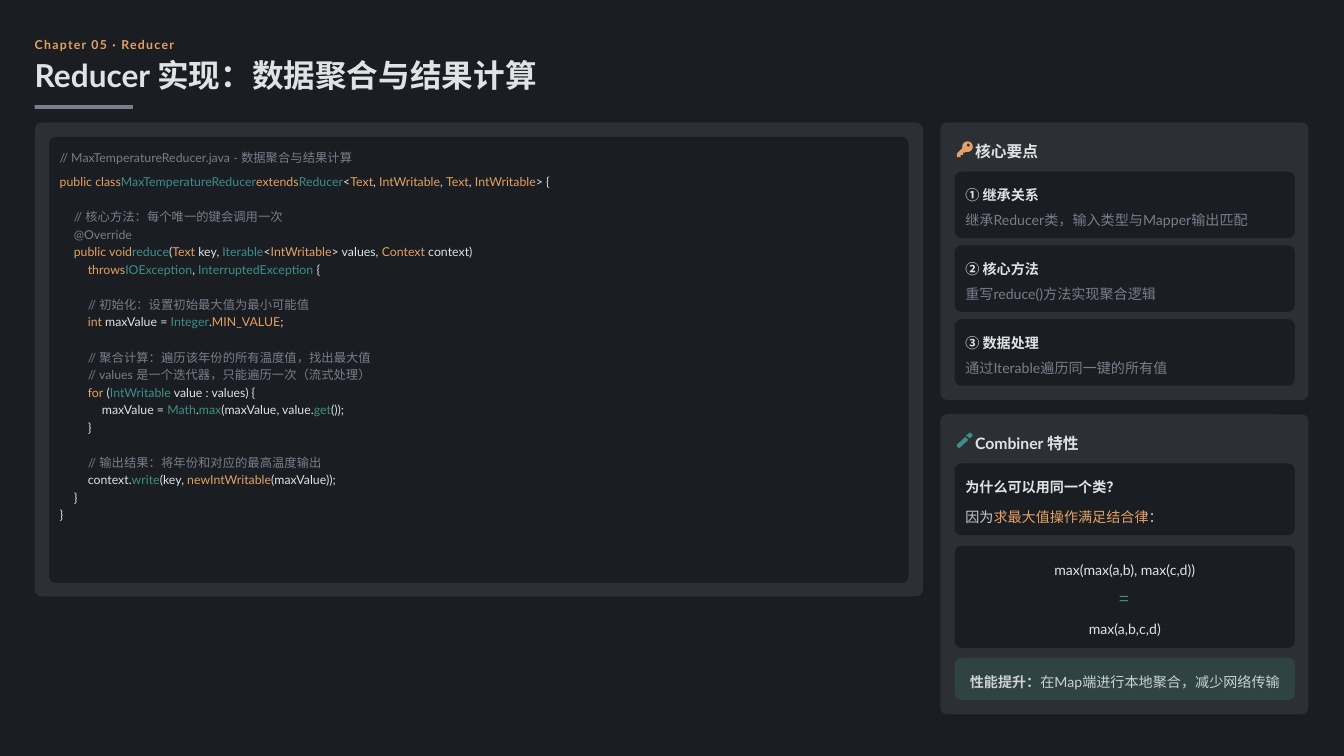
from math import cos, radians, sin

from lxml.etree import SubElement
from pptx import Presentation
from pptx.dml.color import RGBColor
from pptx.enum.shapes import MSO_SHAPE
from pptx.enum.text import MSO_ANCHOR, PP_ALIGN
from pptx.oxml.ns import qn
from pptx.util import Inches, Pt

DARK, PANEL = "1A1D21", "2C2F33"
PLAIN, NOTE, KEY, TYPE = "E0E2E5", "7A7D8D", "E5A165", "3D8F8A"
SOFT, TINT = PLAIN + "@90", TYPE + "@20"
LATIN, CJK = "Lato", "Noto Sans CJK SC"

# (row, indent level, (colour, text) pieces)
CODE = [
    (0, 0, [(KEY, "public class"), (TYPE, "MaxTemperatureReducer"), (KEY, "extends"),
            (TYPE, "Reducer"), (PLAIN, "<"), (KEY, "Text"), (PLAIN, ", "),
            (KEY, "IntWritable"), (PLAIN, ", "), (KEY, "Text"), (PLAIN, ", "),
            (KEY, "IntWritable"), (PLAIN, "> {")]),
    (2, 1, [(NOTE, "// 核心方法：每个唯一的键会调用一次")]),
    (3, 1, [(NOTE, "@Override")]),
    (4, 1, [(KEY, "public void"), (TYPE, "reduce"), (PLAIN, "("), (KEY, "Text"),
            (PLAIN, " key, "), (TYPE, "Iterable"), (PLAIN, "<"), (KEY, "IntWritable"),
            (PLAIN, "> values, "), (KEY, "Context"), (PLAIN, " context)")]),
    (5, 2, [(KEY, "throws"), (TYPE, "IOException"), (PLAIN, ", "),
            (TYPE, "InterruptedException"), (PLAIN, " {")]),
    (7, 2, [(NOTE, "// 初始化：设置初始最大值为最小可能值")]),
    (8, 2, [(KEY, "int"), (PLAIN, " maxValue = "), (TYPE, "Integer"), (PLAIN, "."),
            (KEY, "MIN_VALUE"), (PLAIN, ";")]),
    (10, 2, [(NOTE, "// 聚合计算：遍历该年份的所有温度值，找出最大值")]),
    (11, 2, [(NOTE, "// values 是一个迭代器，只能遍历一次（流式处理）")]),
    (12, 2, [(KEY, "for"), (PLAIN, " ("), (TYPE, "IntWritable"),
             (PLAIN, " value : values) {")]),
    (13, 3, [(PLAIN, "maxValue = "), (TYPE, "Math"), (PLAIN, "."), (TYPE, "max"),
             (PLAIN, "(maxValue, value."), (TYPE, "get"), (PLAIN, "());")]),
    (14, 2, [(PLAIN, "}")]),
    (16, 2, [(NOTE, "// 输出结果：将年份和对应的最高温度输出")]),
    (17, 2, [(PLAIN, "context."), (TYPE, "write"), (PLAIN, "(key, "),
             (KEY, "newIntWritable"), (PLAIN, "(maxValue));")]),
    (18, 1, [(PLAIN, "}")]),
    (19, 0, [(PLAIN, "}")]),
]

POINTS = [
    ("① 继承关系", "继承Reducer类，输入类型与Mapper输出匹配"),
    ("② 核心方法", "重写reduce()方法实现聚合逻辑"),
    ("③ 数据处理", "通过Iterable遍历同一键的所有值"),
]


def paint(fill, owner, color):
    """Fill with "RRGGBB" or "RRGGBB@opacity"; owner is the XML holding the fill."""
    rgb, _, opacity = color.partition("@")
    fill.solid()
    fill.fore_color.rgb = RGBColor.from_string(rgb)
    if opacity:
        clr = owner.find(qn("a:solidFill")).find(qn("a:srgbClr"))
        SubElement(clr, qn("a:alpha")).set("val", str(int(opacity) * 1000))


def arc(cx, cy, radius, start, end, step=15):
    sign = 1 if end > start else -1
    return [(cx + radius * cos(radians(a)), cy + radius * sin(radians(a)))
            for a in range(start, end + sign, sign * step)]


class Deck:
    radius = 0.09

    def __init__(self, width, height):
        self.prs = Presentation()
        self.prs.slide_width, self.prs.slide_height = Inches(width), Inches(height)
        self.s = self.prs.slides.add_slide(self.prs.slide_layouts[6])
        bg = self.s.background.fill
        bg.solid()
        bg.fore_color.rgb = RGBColor.from_string(DARK)

    def finish(self, sp, color):
        sp.shadow.inherit = False
        sp.line.fill.background()
        paint(sp.fill, sp._element.spPr, color)

    def box(self, x, y, w, h, color, rounded=True):
        kind = MSO_SHAPE.ROUNDED_RECTANGLE if rounded else MSO_SHAPE.RECTANGLE
        sp = self.s.shapes.add_shape(kind, Inches(x), Inches(y), Inches(w), Inches(h))
        if rounded:
            sp.adjustments[0] = self.radius / min(w, h)
        self.finish(sp, color)

    def icon(self, contours, color):
        """Draw closed outlines as one shape; an inner outline becomes a hole."""
        outlines = [[(Inches(x), Inches(y)) for x, y in c] for c in contours]
        fb = self.s.shapes.build_freeform(*outlines[0][0])
        fb.add_line_segments(outlines[0][1:], close=True)
        for outline in outlines[1:]:
            fb.move_to(*outline[0])
            fb.add_line_segments(outline[1:], close=True)
        self.finish(fb.convert_to_shape(), color)

    def text(self, x, y, w, h, pieces, size=13.4, bold=False, spacing=1.3,
             align=PP_ALIGN.LEFT, font=LATIN, tracking=0):
        """Write one line from (colour, text[, bold]) pieces."""
        tb = self.s.shapes.add_textbox(Inches(x), Inches(y), Inches(w), Inches(h))
        tf = tb.text_frame
        frame = dict(margin_left=0, margin_right=0, margin_top=0, margin_bottom=0,
                     word_wrap=True, vertical_anchor=MSO_ANCHOR.MIDDLE)
        for name, value in frame.items():
            setattr(tf, name, value)
        p = tf.paragraphs[0]
        p.alignment, p.line_spacing = align, spacing
        for color, content, *weight in pieces:
            r = p.add_run()
            r.text = content
            style = dict(name=font, size=Pt(size), bold=weight[0] if weight else bold)
            for name, value in style.items():
                setattr(r.font, name, value)
            rpr = r._r.get_or_add_rPr()
            paint(r.font.fill, rpr, color)
            ea = SubElement(rpr, qn("a:ea"))
            ea.set("typeface", CJK)
            rpr.find(qn("a:latin")).addnext(ea)
            if tracking:
                rpr.set("spc", str(int(tracking * 100)))

    def code_line(self, y, level, pieces):
        x = 0.79 + 0.186 * level
        self.text(x, y, 11.96 - x, 0.23, pieces, size=11.7, spacing=1.2)

    def panel(self, y, h, title):
        self.box(12.44, y, 4.87, h, PANEL)
        self.text(12.9, y + 0.18, 4.34, 0.32, [(PLAIN, title)], size=15, bold=True)

    def card(self, y, h, color=DARK):
        self.box(12.63, y, 4.5, h, color)

    def card_text(self, y, pieces, **style):
        self.text(12.77, y, 4.32, 0.28, pieces, **style)

    def centred(self, y, pieces, **style):
        self.text(12.72, y, 4.32, 0.28, pieces, align=PP_ALIGN.CENTER, **style)


def main():
    deck = Deck(17.78, 10)

    deck.text(0.46, 0.46, 16.93, 0.23, [(KEY, "Chapter 05 · Reducer")],
              size=11.7, bold=True, spacing=1.2, tracking=1.2)
    deck.text(0.46, 0.79, 17.06, 0.46, [(PLAIN, "Reducer 实现：数据聚合与结果计算")],
              size=30.1, bold=True, spacing=0.9)
    deck.box(0.46, 1.39, 1.3, 0.05, NOTE, rounded=False)

    deck.box(0.46, 1.62, 11.75, 6.27, PANEL)
    deck.box(0.65, 1.81, 11.37, 5.9, DARK)
    deck.code_line(1.95, 0, [(NOTE, "// MaxTemperatureReducer.java - 数据聚合与结果计算")])
    for row, level, pieces in CODE:
        deck.code_line(2.27 + 0.232 * row, level, pieces)

    deck.panel(1.62, 3.67, "核心要点")
    shaft = [(12.76, 2.02), (12.74, 2.02), (12.74, 2.05), (12.71, 2.05),
             (12.71, 2.08), (12.66, 2.08), (12.66, 2.03)]
    deck.icon([arc(12.8, 1.94, 0.07, 165, 465) + shaft,
               arc(12.81, 1.92, 0.02, 360, 0)], KEY)
    for i, (head, detail) in enumerate(POINTS):
        y = 2.27 + 0.975 * i
        deck.card(y, 0.88)
        deck.card_text(y + 0.14, [(PLAIN, head)], bold=True)
        deck.card_text(y + 0.47, [(NOTE, detail)])

    deck.panel(5.48, 3.97, "Combiner 特性")
    tip = [(12.82, 5.73), (12.78, 5.76), (12.83, 5.8), (12.86, 5.77),
           (12.87, 5.76), (12.86, 5.74), (12.84, 5.73), (12.83, 5.72)]
    shank = [(12.77, 5.78), (12.66, 5.88), (12.66, 5.91), (12.68, 5.92),
             (12.69, 5.93), (12.7, 5.92), (12.81, 5.82)]
    deck.icon([tip, shank], TYPE)

    deck.card(6.13, 0.95)
    deck.card_text(6.27, [(PLAIN, "为什么可以用同一个类？")], bold=True)
    deck.card_text(6.65, [(SOFT, "因为"), (KEY, "求最大值操作满足结合律"), (SOFT, "：")],
                   spacing=1.4)

    deck.card(7.22, 1.35)
    deck.centred(7.36, [(PLAIN, "max(max(a,b), max(c,d))")])
    deck.centred(7.75, [(TYPE, "=")], size=16.7, spacing=1.2, font=CJK)
    deck.centred(8.15, [(PLAIN, "max(a,b,c,d)")])

    deck.card(8.7, 0.56, TINT)
    deck.centred(8.84, [(SOFT, "性能提升：", True),
                        (SOFT, "在Map端进行本地聚合，减少网络传输")])

    deck.prs.save("out.pptx")


if __name__ == "__main__":
    main()
